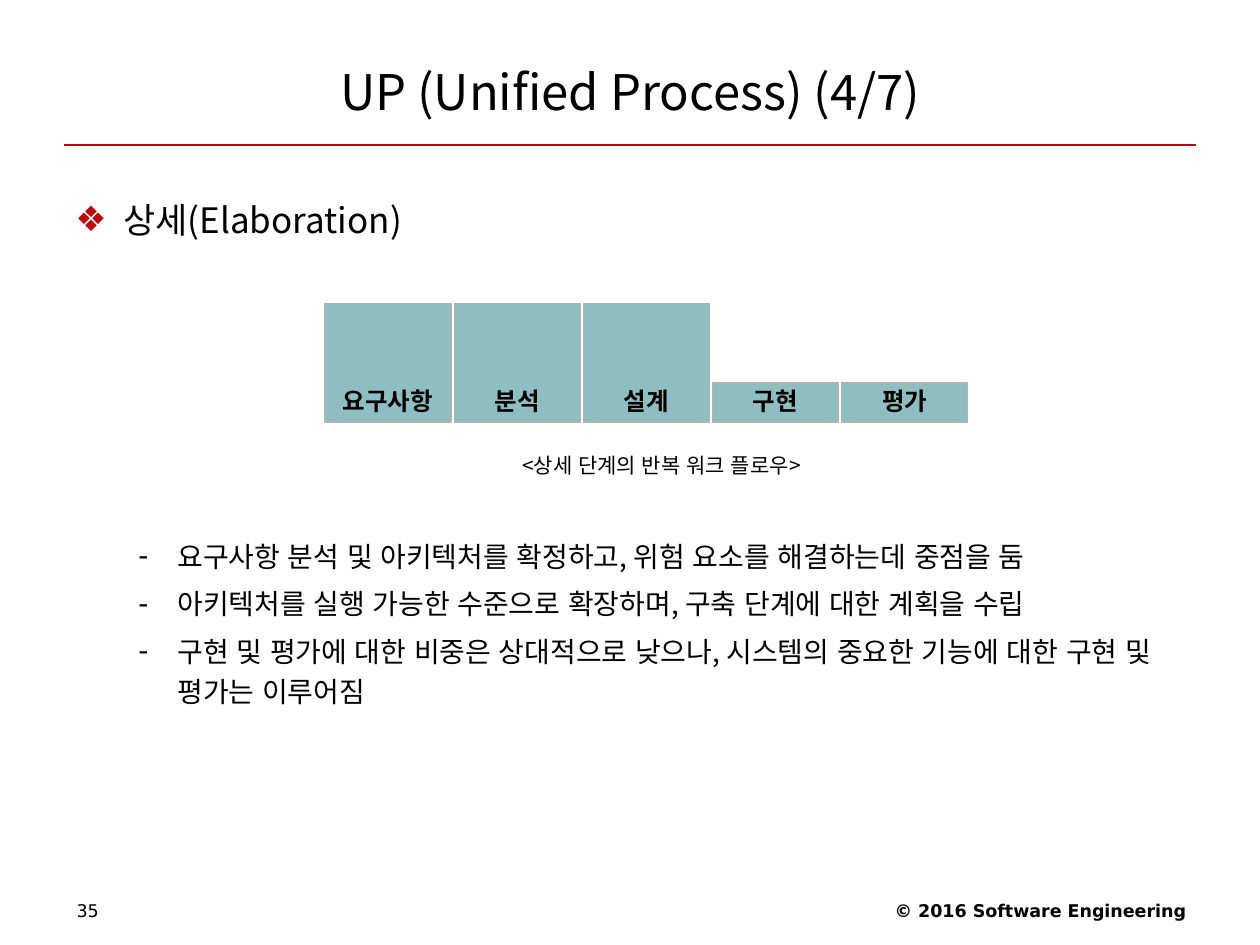
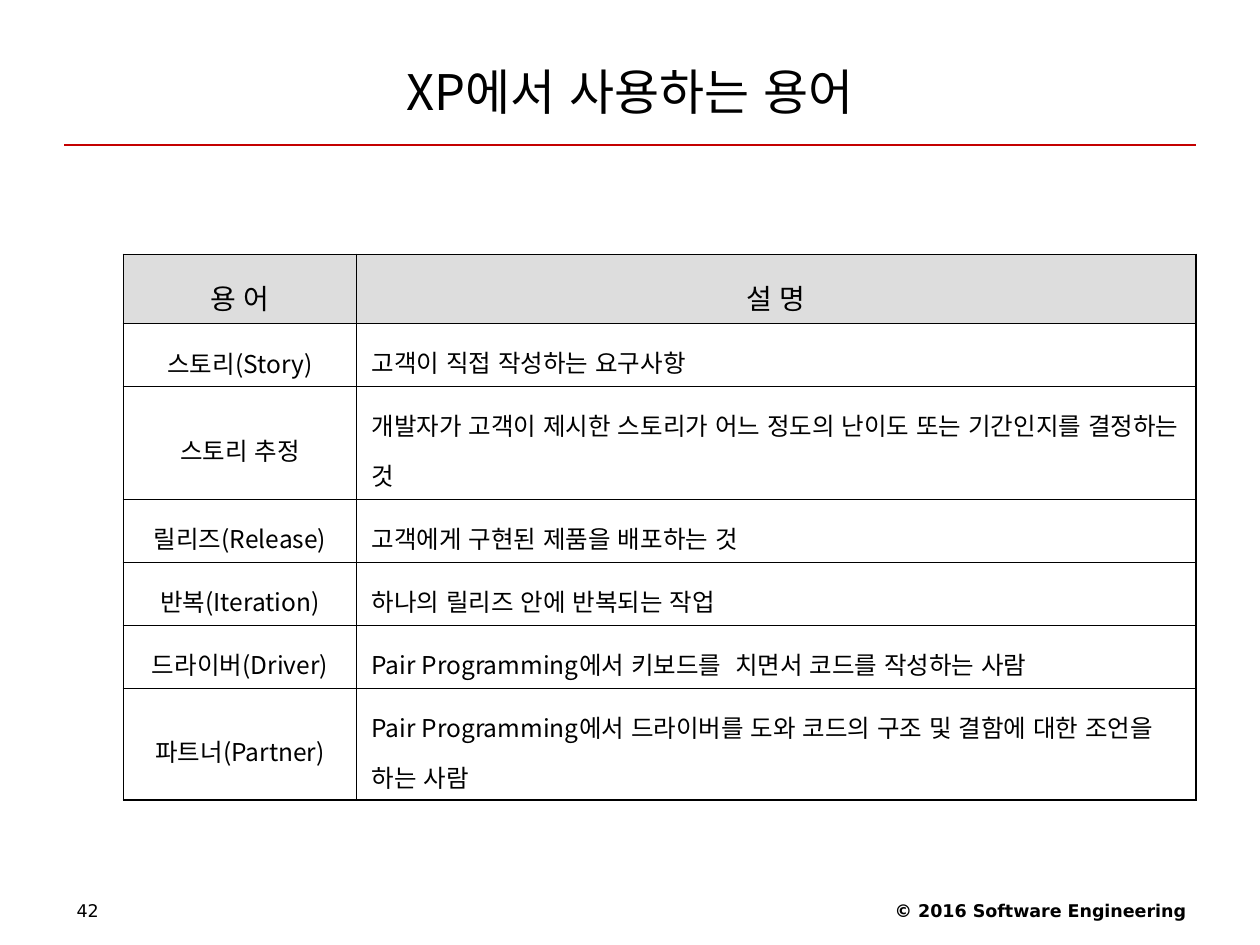
from lxml import etree
from pptx import Presentation
from pptx.dml.color import RGBColor
from pptx.enum import lang, shapes, text
from pptx.oxml import ns
from pptx.util import Inches, Pt

SANS, NOTO = "DejaVu Sans", "Noto Sans CJK KR"
BLACK, RED, TEAL, GREY, PALE = "000000", "C40000", "8EBDC2", "B2B2B2", "DDDDDD"
LEFT, MID, RIGHT = text.PP_ALIGN.LEFT, text.PP_ALIGN.CENTER, text.PP_ALIGN.RIGHT
rgb = RGBColor.from_string


def style(par, words, size, face=NOTO, bold=False, align=LEFT, lead=1.0,
          mark=None, tint=BLACK, left=0, hang=0):
    """Fill one paragraph, with a hanging bullet if mark is given."""
    par.text = words
    par.alignment = align
    par.line_spacing = lead
    if mark:
        props = par._p.get_or_add_pPr()
        props.set("marL", str(Inches(left)))
        props.set("indent", str(-Inches(hang)))
        color = etree.SubElement(props, ns.qn("a:buClr"))
        etree.SubElement(color, ns.qn("a:srgbClr"), val=tint)
        etree.SubElement(props, ns.qn("a:buFont"), typeface=SANS)
        etree.SubElement(props, ns.qn("a:buChar"), char=mark)
    font = par.font
    font.size, font.bold, font.name = Pt(size), bold, face
    font.color.rgb = rgb(BLACK)
    font.language_id = lang.MSO_LANGUAGE_ID.KOREAN
    font._element.set("kern", "0")
    etree.SubElement(font._element, ns.qn("a:ea"), typeface=face)


def box(slide, x, y, w, h, lines, size, **look):
    """Add a text box with one paragraph per line."""
    frame = slide.shapes.add_textbox(
        Inches(x), Inches(y), Inches(w), Inches(h)).text_frame
    frame.word_wrap = True
    for i, line in enumerate(lines):
        par = frame.add_paragraph() if i else frame.paragraphs[0]
        style(par, line, size, **look)
        if i:
            par.space_before = Pt(4)


deck = Presentation()
deck.slide_width, deck.slide_height = Inches(10), Inches(7.5)

# Shared frame: title, rule, footer, page number
pages = []
for name, number in (("UP (Unified Process) (4/7)", "35"),
                     ("XP에서 사용하는 용어", "42")):
    slide = deck.slides.add_slide(deck.slide_layouts[5])
    pages.append(slide)
    rule = slide.shapes.add_connector(
        shapes.MSO_CONNECTOR.STRAIGHT,
        Inches(0.51), Inches(1.15), Inches(9.49), Inches(1.15))
    rule.line.color.rgb, rule.line.width = rgb(RED), Pt(0.75)
    etree.SubElement(rule._element.spPr, ns.qn("a:effectLst"))
    box(slide, 6.34, 7.09, 3.17, 0.29, ["© 2016 Software Engineering"], 10,
        face=SANS, bold=True, align=RIGHT)
    box(slide, 0.51, 7.09, 2.33, 0.28, [number], 10, face=SANS)
    title = slide.shapes.title
    title.left, title.top = Inches(0.5), Inches(0.3)
    title.width, title.height = Inches(9), Inches(0.85)
    title.text_frame.auto_size = text.MSO_AUTO_SIZE.NONE
    title.text_frame.vertical_anchor = text.MSO_ANCHOR.MIDDLE
    style(title.text_frame.paragraphs[0], name, 28, align=MID)

phase, terms = pages

# Elaboration: heading, caption, points
box(phase, 0.5, 1.39, 9, 0.6, ["상세(Elaboration)"], 20, lead=1.4,
    mark="❖", tint=RED, left=0.38, hang=0.38)
box(phase, 1, 3.5, 8.5, 0.35, ["<상세 단계의 반복 워크 플로우>"], 12,
    align=MID, lead=1.2)
points = [
    "요구사항 분석 및 아키텍처를 확정하고, 위험 요소를 해결하는데 중점을 둠",
    "아키텍처를 실행 가능한 수준으로 확장하며, 구축 단계에 대한 계획을 수립",
    "구현 및 평가에 대한 비중은 상대적으로 낮으나, 시스템의 중요한 기능에 대한 "
    "구현 및 평가는 이루어짐",
]
box(phase, 0.5, 4.18, 9, 1.6, points, 16, lead=1.2,
    mark="-", left=0.81, hang=0.31)

# Workflow bars, standing on one base line
FIRST, LAST, BASE = 2.58, 6.68, 3.35
bars = [("요구사항", 0.94), ("분석", 0.94), ("설계", 0.94),
        ("구현", 0.31), ("평가", 0.31)]
step = (LAST - FIRST) / (len(bars) - 1)
group = phase.shapes.add_group_shape()
for i, (name, tall) in enumerate(bars):
    bar = group.shapes.add_shape(
        shapes.MSO_SHAPE.RECTANGLE, Inches(FIRST + i * step),
        Inches(BASE - tall), Inches(1), Inches(tall))
    bar.shadow.inherit = False
    bar.fill.solid()
    bar.fill.fore_color.rgb = rgb(TEAL)
    bar.line.color.rgb, bar.line.width = rgb(GREY), Pt(0.75)
    bar.text_frame.word_wrap = False
    bar.text_frame.vertical_anchor = text.MSO_ANCHOR.BOTTOM
    style(bar.text_frame.paragraphs[0], name, 14, bold=True, align=MID)

# Table of terms
rows = [
    ("용 어", "설 명"),
    ("스토리(Story)", "고객이 직접 작성하는 요구사항"),
    ("스토리 추정",
     "개발자가 고객이 제시한 스토리가 어느 정도의 난이도 또는 기간인지를 결정하는 것"),
    ("릴리즈(Release)", "고객에게 구현된 제품을 배포하는 것"),
    ("반복(Iteration)", "하나의 릴리즈 안에 반복되는 작업"),
    ("드라이버(Driver)",
     "Pair Programming에서 키보드를  치면서 코드를 작성하는 사람"),
    ("파트너(Partner)",
     "Pair Programming에서 드라이버를 도와 코드의 구조 및 결함에 대한 조언을 하는 사람"),
]
tall = [0.55, 0.5, 0.89, 0.5, 0.5, 0.5, 0.89]
wide = [1.85, 6.66]
grid = terms.shapes.add_table(
    len(rows), len(wide), Inches(0.98), Inches(2.02),
    Inches(sum(wide)), Inches(sum(tall))).table
grid.first_row = grid.horz_banding = False
for col, w in zip(grid.columns, wide):
    col.width = Inches(w)
for r, row in enumerate(rows):
    grid.rows[r].height = Inches(tall[r])
    for c, words in enumerate(row):
        cell = grid.cell(r, c)
        cell.margin_left = cell.margin_right = Inches(0.12)
        if r and c == 0:
            cell.vertical_anchor = text.MSO_ANCHOR.MIDDLE
        style(cell.text_frame.paragraphs[0], words, 14 if r else 16, lead=1.4,
              align=LEFT if r and c else MID)
        # Thick outer edges, thin inner ones
        outer = {"L": c == 0, "R": c == len(wide) - 1,
                 "T": r == 0, "B": r == len(rows) - 1}
        props = cell._tc.get_or_add_tcPr()
        for side, edge in outer.items():
            line = etree.SubElement(props, ns.qn("a:ln" + side),
                                    w=str(Pt(1.08 if edge else 0.45)))
            fill = etree.SubElement(line, ns.qn("a:solidFill"))
            etree.SubElement(fill, ns.qn("a:srgbClr"), val=BLACK)
        if r:
            cell.fill.background()
        else:
            cell.fill.solid()
            cell.fill.fore_color.rgb = rgb(PALE)

deck.save("out.pptx")
